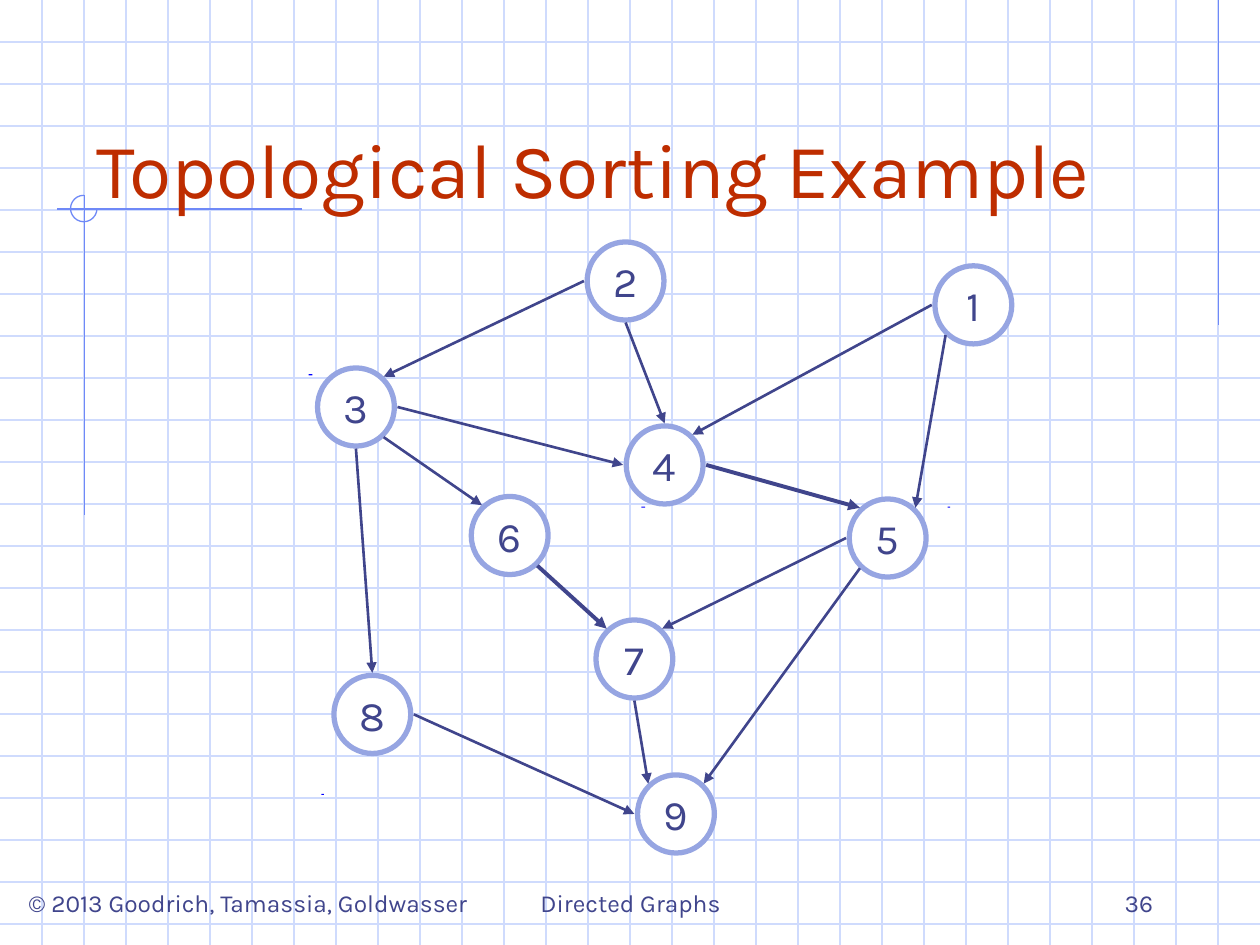
import pptx
import pptx.util
import pptx.dml.color
import pptx.enum.dml
import pptx.enum.shapes
import pptx.enum.text
import pptx.oxml.ns
import lxml.etree

Inches = pptx.util.Inches
Pt = pptx.util.Pt
RGBColor = pptx.dml.color.RGBColor
Shape = pptx.enum.shapes.MSO_SHAPE
Align = pptx.enum.text.PP_ALIGN
Anchor = pptx.enum.text.MSO_ANCHOR

WHITE = RGBColor(0xFF, 0xFF, 0xFF)
GRID = RGBColor(0xCF, 0xDB, 0xFD)
RULE = RGBColor(0x6F, 0x89, 0xF7)
INK = RGBColor(0x40, 0x45, 0x8C)
RED = RGBColor(0xBE, 0x2D, 0x00)
RING = RGBColor(0x96, 0xA5, 0xE2)
BLUE = RGBColor(0x00, 0x00, 0xFF)
FONT = "Karla"

WIDE, HIGH = 10, 7.5
NODE_W, NODE_H = 0.61, 0.62

# Node label: left and top within the graph box
NODES = {
    "2": (2.21, 0), "7": (2.28, 3), "4": (2.52, 1.46),
    "8": (0.2, 3.44), "5": (4.29, 2.04), "6": (1.29, 2.02),
    "1": (4.97, 0.19), "3": (0.07, 1), "9": (2.61, 4.23),
}
# From node, side, to node, side, line width
EDGES = [
    ("2", "W", "3", "NE", 1.5), ("2", "S", "4", "N", 1.5),
    ("1", "W", "4", "NE", 1.5), ("5", "W", "7", "NE", 1.5),
    ("5", "SW", "9", "NE", 1.5), ("8", "E", "9", "W", 1.5),
    ("7", "S", "9", "NW", 1.5), ("6", "SE", "7", "NW", 2.25),
    ("3", "SE", "6", "NW", 1.5), ("3", "S", "8", "N", 1.5),
    ("3", "E", "4", "W", 1.5), ("4", "E", "5", "NW", 2.25),
    ("1", "SW", "5", "NE", 1.5),
]
# Small marks: left, top and width within the graph box
MARKS = [(0, 1.05, 0.03), (2.64, 2.1, 0.03),
         (5.07, 2.1, 0.02), (0.1, 4.38, 0.02)]


def add_line(slide, start, end, color, width=0.75, arrow=False):
    line = slide.shapes.add_connector(
        pptx.enum.shapes.MSO_CONNECTOR.STRAIGHT,
        *[Inches(v) for v in (*start, *end)])
    line.line.color.rgb = color
    line.line.width = Pt(width)
    if arrow:
        tail = lxml.etree.SubElement(
            line.line._get_or_add_ln(), pptx.oxml.ns.qn("a:tailEnd"))
        tail.set("type", "triangle")
    lxml.etree.SubElement(
        line._element.spPr, pptx.oxml.ns.qn("a:effectLst"))


def add_shape(slide, kind, left, top, width, height):
    shape = slide.shapes.add_shape(
        kind, Inches(left), Inches(top), Inches(width), Inches(height))
    shape.shadow.inherit = False
    return shape


def set_text(frame, text, size, color, align, anchor, wrap=True):
    frame.text = text
    frame.word_wrap = wrap
    frame.vertical_anchor = anchor
    para = frame.paragraphs[0]
    para.alignment = align
    font = para.runs[0].font
    font.name, font.size = FONT, Pt(size)
    font.color.rgb = color


def add_text(slide, box, text, size, color, align,
             anchor=Anchor.BOTTOM, wrap=True):
    label = slide.shapes.add_textbox(*[Inches(v) for v in box])
    set_text(label.text_frame, text, size, color, align, anchor, wrap)


def add_grid(slide, left, top, width, height):
    """Rule the box in squares, three to the inch."""
    right, low = left + width, top + height
    for i in range(1, int(height * 3) + 1):
        y = top + i / 3
        add_line(slide, (left, y), (right, y), GRID)
    for i in range(1, int(width * 3)):
        x = left + i / 3
        add_line(slide, (x, top), (x, low), GRID)


def add_trim(slide, left, top, width):
    """Draw the side rule, the cross and its open ring."""
    side = left + width - 0.33
    x, y, ray = left + 0.67, top + 1.66, 0.1
    add_line(slide, (side, top), (side, top + 2.58), RULE)
    add_line(slide, (left + 2.4, y), (left + 0.45, y), RULE)
    add_line(slide, (x, top + 1.55), (x, top + 4.09), RULE)
    ring = add_shape(slide, Shape.ARC, x - ray - 0.01, y - ray - 0.01,
                     0.21, 0.21)
    ring.adjustments[0] = 0
    ring.adjustments[1] = 162  # 270 degrees
    ring.fill.background()
    ring.line.color.rgb = RULE
    ring.line.width = Pt(0.75)


def add_footer(slide, left, top):
    add_text(slide, (left + 0.03, top + 0.17, 3.88, 0.34),
             "© 2013 Goodrich, Tamassia, Goldwasser", 14, INK,
             Align.CENTER, Anchor.TOP, False)
    add_text(slide, (left + 3.42, top, 3.17, 0.5), "Directed Graphs",
             14, INK, Align.CENTER)
    add_text(slide, (left + 7.17, top, 2.08, 0.5), "36",
             14, INK, Align.RIGHT)


def get_port(left, top, node, side):
    """Return the point just off the given side of a node."""
    dx = ("E" in side) - ("W" in side)
    dy = ("S" in side) - ("N" in side)
    far_x, far_y = (0.22, 0.24) if dx and dy else (0.33, 0.33)
    x, y = NODES[node]
    return (left + x + NODE_W / 2 + dx * far_x,
            top + y + NODE_H / 2 + dy * far_y)


def add_graph(slide, left, top):
    for x, y, width in MARKS:
        mark = add_shape(slide, Shape.RECTANGLE, left + x, top + y,
                         width, 0.01)
        mark.fill.solid()
        mark.fill.fore_color.rgb = BLUE
        mark.line.fill.background()
    for name, (x, y) in NODES.items():
        node = add_shape(slide, Shape.OVAL, left + x, top + y,
                         NODE_W, NODE_H)
        node.fill.solid()
        node.fill.fore_color.rgb = WHITE
        node.line.color.rgb = RING
        node.line.width = Pt(3)
        set_text(node.text_frame, name, 24, INK, Align.CENTER,
                 Anchor.MIDDLE, False)
    for tail, out, head, side, width in EDGES:
        add_line(slide, get_port(left, top, tail, out),
                 get_port(left, top, head, side), INK, width, True)


def main():
    deck = pptx.Presentation()
    deck.slide_width, deck.slide_height = Inches(WIDE), Inches(HIGH)
    slide = deck.slides.add_slide(deck.slide_layouts[6])
    slide.background.fill.solid()
    slide.background.fill.fore_color.rgb = WHITE
    add_grid(slide, 0, 0, WIDE, HIGH)
    add_trim(slide, 0, 0, WIDE)
    add_footer(slide, 0, 6.83)
    add_text(slide, (0.67, 0.5, 8.5, 1.25), "Topological Sorting Example",
             44, RED, Align.LEFT)
    add_graph(slide, 2.45, 1.92)
    deck.save("out.pptx")


if __name__ == "__main__":
    main()
